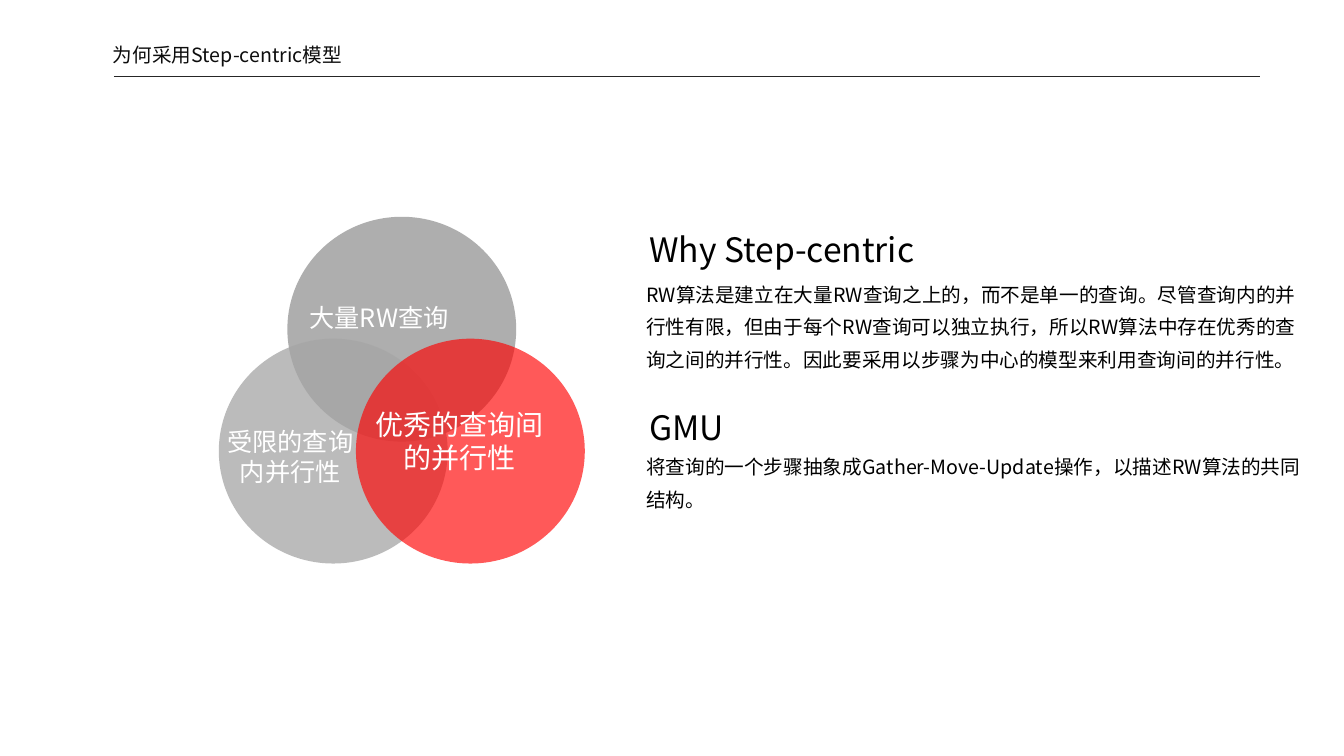
from dataclasses import dataclass

from lxml import etree
from pptx import Presentation, util as u
from pptx.dml.color import RGBColor
from pptx.enum import shapes as kinds, text as tx
from pptx.oxml.ns import qn


@dataclass(frozen=True)
class Theme:
    font: str = "Noto Sans CJK SC"
    title_ink: str = "0D0D0D"
    ink: str = "000000"
    light: str = "FFFFFF"
    rule: str = "262626"
    gray: str = "A6A6A6"
    accent: str = "FF0000"
    body: int = 14
    label: int = 18
    key_label: int = 20
    heading: int = 24
    rule_width: float = 0.5
    body_spacing: float = 1.4


@dataclass(frozen=True)
class Box:
    """A region in inches; share() takes percentages of it."""
    left: float
    top: float
    width: float
    height: float

    def share(self, x, y, w, h):
        return Box(self.left + self.width * x / 100, self.top + self.height * y / 100,
                   self.width * w / 100, self.height * h / 100)

    def emu(self):
        return [u.Inches(v) for v in (self.left, self.top, self.width, self.height)]


THEME = Theme()
SLIDE = Box(0, 0, 13.33, 7.5)


def write(frame, words, size, color, align=tx.PP_ALIGN.LEFT, spacing=None):
    frame.word_wrap = True
    frame.auto_size = tx.MSO_AUTO_SIZE.SHAPE_TO_FIT_TEXT
    frame.vertical_anchor = tx.MSO_ANCHOR.TOP
    paragraph = frame.paragraphs[0]
    paragraph.alignment = align
    if spacing:
        paragraph.line_spacing = spacing
    run = paragraph.add_run()
    run.text = words
    run.font.size = u.Pt(size)
    run.font.name = THEME.font
    run.font.color.rgb = RGBColor.from_string(color)
    # East Asian glyphs take their own typeface entry
    east_asian = etree.Element(qn("a:ea"), typeface=THEME.font)
    run.font._element.find(qn("a:latin")).addnext(east_asian)


def add_text(parent, box, *args, **kwargs):
    write(parent.add_textbox(*box.emu()).text_frame, *args, **kwargs)


def add_circle(parent, box, color, opacity):
    circle = parent.add_shape(kinds.MSO_SHAPE.OVAL, *box.emu())
    circle.shadow.inherit = False
    circle.line.fill.background()
    circle.fill.solid()
    circle.fill.fore_color.rgb = RGBColor.from_string(color)
    tint = circle._element.spPr.find(qn("a:solidFill"))[0]
    etree.SubElement(tint, qn("a:alpha"), val=str(opacity * 1000))


def header(slide, box, words):
    title = slide.shapes.title
    title.left, title.top, title.width, title.height = box.share(0, 0, 28.31, 89.47).emu()
    write(title.text_frame, words, THEME.body, THEME.title_ink)

    left, top, width, _ = box.share(0.96, 100, 99.04, 0).emu()
    rule = slide.shapes.add_connector(kinds.MSO_CONNECTOR.STRAIGHT, left, top, left + width, top)
    rule.line.color.rgb = RGBColor.from_string(THEME.rule)
    rule.line.width = u.Pt(THEME.rule_width)
    etree.SubElement(rule._element.spPr, qn("a:effectLst"))


def venn(slide, box):
    # Overlapping circles: one on top, two at the bottom corners
    wide, tall = 62.53, 64.83
    circles = slide.shapes.add_group_shape().shapes
    for x, y, color, opacity in (
        ((100 - wide) / 2, 0, THEME.gray, 90),
        (0, 100 - tall, THEME.gray, 76),
        (100 - wide, 100 - tall, THEME.accent, 65),
    ):
        add_circle(circles, box.share(x, y, wide, tall), color, opacity)

    # Circle labels
    for words, area, size in (
        ("优秀的查询间的并行性", (37.47, 53.49, 56.75, 22.38), THEME.key_label),
        ("受限的查询内并行性", (-2.2, 59.01, 43.53, 20.64), THEME.label),
        ("大量RW查询", (15.43, 23.26, 56.75, 11.63), THEME.label),
    ):
        add_text(slide.shapes, box.share(*area), words, size, THEME.light,
                 align=tx.PP_ALIGN.CENTER)


def explanations(slide, box, sections):
    notes = slide.shapes.add_group_shape().shapes
    for heading, heading_top, heading_width, body, body_top, body_height in sections:
        add_text(notes, box.share(0.44, heading_top, heading_width, 17.18),
                 heading, THEME.heading, THEME.ink)
        add_text(notes, box.share(0, body_top, 100, body_height),
                 body, THEME.body, THEME.ink, spacing=THEME.body_spacing)


def step_centric_slide(deck):
    slide = deck.slides.add_slide(deck.slide_layouts.get_by_name("Title Only"))
    header(slide, SLIDE.share(7.65, 5.07, 86.12, 5.07), "为何采用Step-centric模型")
    venn(slide, SLIDE.share(16.28, 28.67, 27.23, 45.87))
    explanations(slide, SLIDE.share(47.34, 29.6, 51.01, 38.8), (
        ("Why Step-centric", 0, 51.91,
         "RW算法是建立在大量RW查询之上的，而不是单一的查询。尽管查询内的并行性有限，"
         "但由于每个RW查询可以独立执行，所以RW算法中存在优秀的查询之间的并行性。"
         "因此要采用以步骤为中心的模型来利用查询间的并行性。", 15.12, 30.58),
        ("GMU", 60.82, 30.29,
         "将查询的一个步骤抽象成Gather-Move-Update操作，以描述RW算法的共同结构。",
         73.88, 26.12),
    ))


deck = Presentation()
deck.slide_width, deck.slide_height = SLIDE.emu()[2:]
step_centric_slide(deck)
deck.save("out.pptx")
